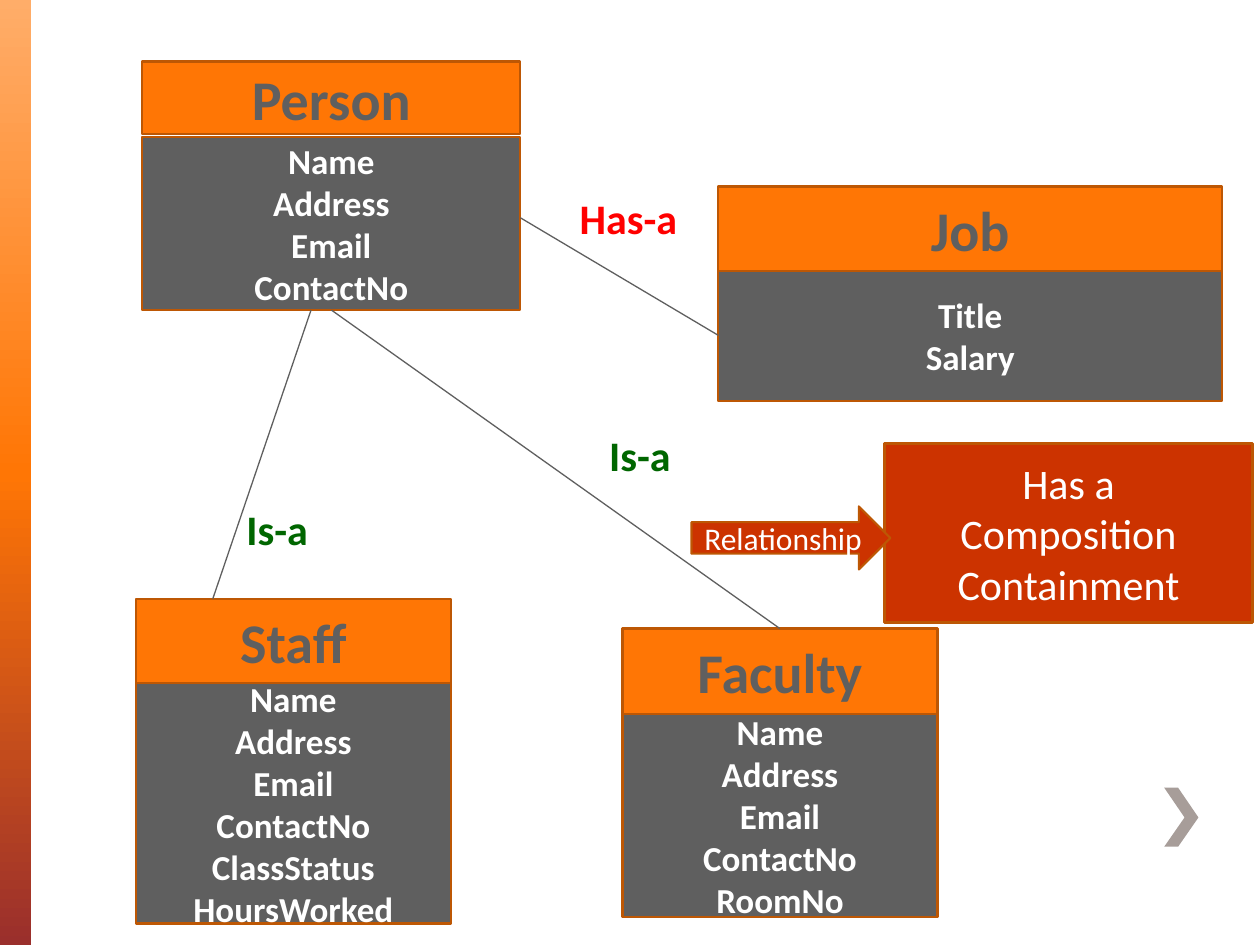
"""Builds a class diagram slide showing is-a and has-a relationships."""
from copy import deepcopy

from lxml.etree import SubElement
from pptx import Presentation
from pptx.dml.color import RGBColor
from pptx.enum.shapes import MSO_CONNECTOR, MSO_SHAPE
from pptx.enum.text import MSO_ANCHOR, PP_ALIGN
from pptx.oxml.ns import qn
from pptx.util import Cm, Pt

ORANGE = RGBColor(0xFF, 0x76, 0x05)
PEACH = RGBColor(0xFF, 0xAD, 0x69)
MAROON = RGBColor(0x9A, 0x2F, 0x2C)
BORDER = RGBColor(0xBD, 0x57, 0x04)
GREY = RGBColor(0x5F, 0x5F, 0x5F)
TAUPE = RGBColor(0xA7, 0x9D, 0x99)
RUST = RGBColor(0xCC, 0x33, 0x00)
GREEN = RGBColor(0x00, 0x66, 0x00)
RED = RGBColor(0xFF, 0x00, 0x00)
WHITE = RGBColor(0xFF, 0xFF, 0xFF)


def write(tf, text, size=20, color=WHITE, bold=True, wrap=True):
    tf.word_wrap = wrap
    tf.vertical_anchor = MSO_ANCHOR.MIDDLE
    tf.text = text
    for p in tf.paragraphs:
        p.alignment = PP_ALIGN.CENTER
        for r in p.runs:
            r.font.name = "Calibri"
            r.font.size = Pt(size)
            r.font.bold = bold
            r.font.color.rgb = color


class Diagram:
    def __init__(self, slide):
        self.slide = slide
        self.shapes = slide.shapes

    def side_band(self, w, h, colors):
        sp = self.shapes.add_shape(MSO_SHAPE.RECTANGLE, 0, 0, Cm(w), Cm(h))
        sp.shadow.inherit = False
        sp.line.fill.background()
        sp.fill.gradient()
        sp.fill.gradient_angle = 270
        stops = sp._element.spPr.find(qn("a:gradFill")).find(qn("a:gsLst"))
        stops.insert(1, deepcopy(stops[0]))
        for i, (stop, color) in enumerate(zip(sp.fill.gradient_stops, colors)):
            stop.position = i / (len(colors) - 1)
            stop.color.rgb = color

    def chevron(self, points, color):
        corners = [(Cm(x), Cm(y)) for x, y in points]
        builder = self.shapes.build_freeform(*corners[0])
        builder.add_line_segments(corners[1:], close=True)
        sp = builder.convert_to_shape()
        sp.shadow.inherit = False
        sp.fill.solid()
        sp.fill.fore_color.rgb = color
        sp.line.fill.background()

    def box(self, x, y, w, h, fill, text, kind=MSO_SHAPE.RECTANGLE, **style):
        sp = self.shapes.add_shape(kind, Cm(x), Cm(y), Cm(w), Cm(h))
        sp.shadow.inherit = False
        sp.fill.solid()
        sp.fill.fore_color.rgb = fill
        sp.line.color.rgb = BORDER
        sp.line.width = Pt(1.25)
        write(sp.text_frame, text, **style)

    def entity(self, name, fields, x, y, w, head, body, gap=0):
        self.box(x, y, w, head, ORANGE, name, size=32, color=GREY)
        self.box(x, y + head + gap, w, body, GREY, fields)

    def link(self, x1, y1, x2, y2):
        line = self.shapes.add_connector(
            MSO_CONNECTOR.STRAIGHT, Cm(x1), Cm(y1), Cm(x2), Cm(y2))
        line.line.color.rgb = GREY
        line.line.width = Pt(0.75)
        SubElement(line._element.spPr, qn("a:effectLst"))

    def label(self, x, y, text, color):
        sp = self.shapes.add_textbox(Cm(x), Cm(y), Cm(2.54), Cm(1.27))
        write(sp.text_frame, text, size=24, color=color)


prs = Presentation()
prs.slide_width, prs.slide_height = Cm(25.4), Cm(19.05)
s = Diagram(prs.slides.add_slide(prs.slide_layouts[6]))

s.side_band(0.63, 19.05, [PEACH, ORANGE, MAROON])
s.chevron([(23.75, 15.88), (23.47, 15.88), (23.88, 16.48),
           (23.47, 17.07), (23.75, 17.07), (24.16, 16.48)], TAUPE)

COMMON = "Name\vAddress\nEmail\nContactNo"
s.entity("Person", COMMON, 2.87, 1.24, 7.62, 1.47, 3.48, gap=0.06)
s.entity("Faculty", COMMON + "\nRoomNo", 12.55, 12.67, 6.35, 1.73, 4.09)
s.entity("Staff", COMMON + "\nClassStatus\nHoursWorked",
         2.74, 12.07, 6.35, 1.7, 4.85)
s.entity("Job", "Title\nSalary", 14.48, 3.76, 10.16, 1.7, 2.62)

for ends in [(6.68, 6.25, 15.72, 12.67), (4.29, 12.07, 6.27, 6.25),
             (14.48, 6.76, 10.49, 4.39)]:
    s.link(*ends)

for x, y, text, color in [(11.63, 8.53, "Is-a", GREEN),
                          (4.32, 10.03, "Is-a", GREEN),
                          (11.4, 3.76, "Has-a", RED)]:
    s.label(x, y, text, color)

s.box(17.83, 8.94, 7.42, 3.61, RUST, "Has a\nComposition\nContainment",
      size=24, bold=False)
s.box(13.94, 10.21, 4.01, 1.27, RUST, "Relationship",
      kind=MSO_SHAPE.RIGHT_ARROW, size=18, bold=False, wrap=False)

prs.save("out.pptx")
